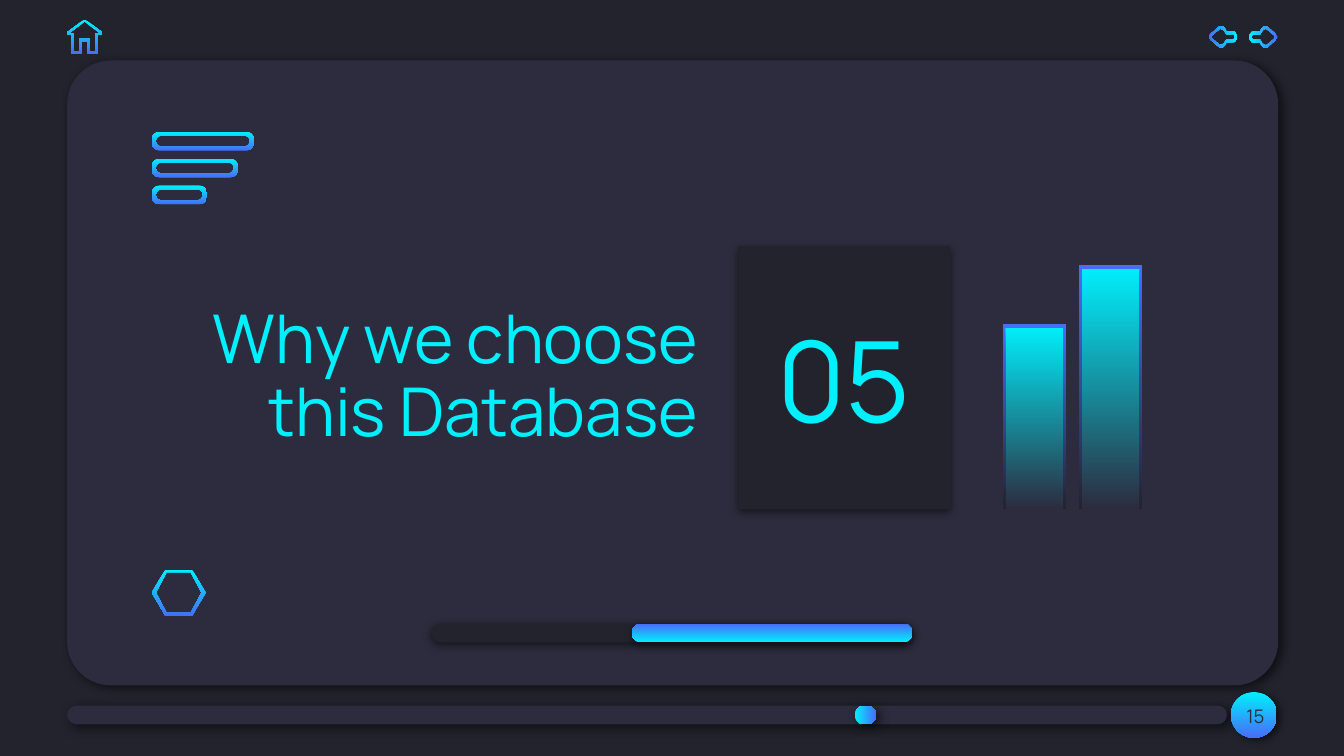
from dataclasses import dataclass
from math import cos, radians, sin

from lxml.etree import SubElement
from pptx import Presentation
from pptx.dml.color import RGBColor
from pptx.enum.shapes import MSO_SHAPE
from pptx.enum.text import MSO_ANCHOR, PP_ALIGN
from pptx.oxml.ns import qn
from pptx.util import Inches, Pt


@dataclass(frozen=True)
class Theme:
    font: str = "Manrope"
    night: str = "23232E"
    panel: str = "2C2C3E"
    cyan: str = "01F0FD"
    blue: str = "476DFA"
    title_size: int = 36
    number_size: int = 60
    page_size: int = 10
    side_shadow: tuple = (60, 5.6, 2.2, 33)
    badge_shadow: tuple = (60, 4.5, 2.2, 33)
    drop_shadow: tuple = (50, 4.5, 1.5, 90)


DOWN, UP, RIGHT = 270, 90, 0


def mirrored(half, centre, top=0):
    left = [(centre - x, top + y) for x, y in half]
    right = [(centre + x, top + y) for x, y in reversed(half)]
    return left + right


def rounded_outline(left, top, width, height, radius):
    corners = [
        (left + width - radius, top + height - radius, 0),
        (left + radius, top + height - radius, 90),
        (left + radius, top + radius, 180),
        (left + width - radius, top + radius, 270),
    ]
    return [
        (x + radius * cos(radians(start + step)), y + radius * sin(radians(start + step)))
        for x, y, start in corners
        for step in range(0, 91, 15)
    ]


class SlideBuilder:
    def __init__(self, slide, theme):
        self.slide = slide
        self.theme = theme
        self.paint(slide.background, theme.night)

    def paint(self, target, colours, direction=DOWN):
        if isinstance(colours, str):
            target.fill.solid()
            target.fill.fore_color.rgb = RGBColor.from_string(colours)
            return
        target.fill.gradient()
        target.fill.gradient_angle = direction
        for stop, colour in zip(target.fill.gradient_stops, colours):
            stop.color.rgb = RGBColor.from_string(colour)

    def finish(self, shape, colours, direction=DOWN, shadow=None):
        shape.shadow.inherit = False
        self.paint(shape, colours, direction)
        shape.line.fill.background()
        if shadow:
            alpha, blur, distance, angle = shadow
            effects = shape._element.spPr.find(qn("a:effectLst"))
            outer = SubElement(
                effects, qn("a:outerShdw"), blurRad=str(Pt(blur)), dist=str(Pt(distance)),
                dir=str(angle * 60000), algn="bl", rotWithShape="0",
            )
            colour = SubElement(outer, qn("a:srgbClr"), val="000000")
            SubElement(colour, qn("a:alpha"), val=str(alpha * 1000))
        return shape

    def block(self, kind, box, colours, shadow=None, direction=DOWN, corner=None):
        shape = self.slide.shapes.add_shape(kind, *map(Inches, box))
        if corner is not None:
            shape.adjustments[0] = corner
        return self.finish(shape, colours, direction, shadow)

    def pill(self, box, colours, shadow, direction=DOWN):
        return self.block(MSO_SHAPE.ROUNDED_RECTANGLE, box, colours, shadow, direction, 0.5)

    def outline(self, contours, colours, rotation=0):
        contours = [[(Inches(x), Inches(y)) for x, y in contour] for contour in contours]
        builder = self.slide.shapes.build_freeform(*contours[0][0])
        for index, contour in enumerate(contours):
            if index:
                builder.move_to(*contour[0])
            builder.add_line_segments(contour[1:], close=True)
        shape = self.finish(builder.convert_to_shape(), colours)
        shape.rotation = rotation

    def label(self, shape, words, size, colour, align=PP_ALIGN.CENTER, spacing=1.0):
        frame = shape.text_frame
        frame.word_wrap = True
        frame.vertical_anchor = MSO_ANCHOR.MIDDLE
        frame.margin_left = frame.margin_right = Inches(0.1)
        frame.margin_top = frame.margin_bottom = Inches(0.1)
        paragraph = frame.paragraphs[0]
        paragraph.text = words
        paragraph.alignment = align
        paragraph.line_spacing = spacing
        paragraph.font.name = self.theme.font
        paragraph.font.size = Pt(size)
        paragraph.font.color.rgb = RGBColor.from_string(colour)

    def text(self, box, *style, **layout):
        self.label(self.slide.shapes.add_textbox(*map(Inches, box)), *style, **layout)


def main():
    theme = Theme()
    glow = (theme.cyan, theme.blue)
    deck = Presentation()
    deck.slide_width, deck.slide_height = Inches(10), Inches(10 * 9 / 16)
    page = SlideBuilder(deck.slides.add_slide(deck.slide_layouts[6]), theme)

    page.block(MSO_SHAPE.ROUNDED_RECTANGLE, (0.5, 0.45, 9.01, 4.65), theme.panel,
               theme.side_shadow, corner=0.07)
    page.pill((0.5, 5.25, 8.63, 0.14), theme.panel, theme.side_shadow)
    page.block(MSO_SHAPE.OVAL, (9.16, 5.15, 0.34, 0.34), glow, theme.badge_shadow)
    page.text((9.04, 5.11, 0.6, 0.43), "15", theme.page_size, theme.panel)

    page.text((1.47, 2.15, 3.82, 1.33), "Why we choose this Database", theme.title_size,
              theme.cyan, align=PP_ALIGN.RIGHT, spacing=0.9)
    section = page.block(MSO_SHAPE.RECTANGLE, (5.49, 1.83, 1.58, 1.96), theme.night,
                         theme.drop_shadow)
    page.label(section, "05", theme.number_size, theme.cyan)

    arrow_edge = [(0.02, 0), (0.04, 0.02), (0.04, 0.08), (0.06, 0.09), (0.08, 0.11),
                  (0.08, 0.13), (0.02, 0.2), (0, 0.21)]
    arrow_hole = [(0.01, 0.02), (0.02, 0.03), (0.02, 0.08), (0.05, 0.1), (0.06, 0.12),
                  (0.06, 0.13), (0.01, 0.19)]
    for centre, rotation in ((9.4, 270), (9.1, 90)):
        page.outline([mirrored(half, centre, 0.17) for half in (arrow_edge, arrow_hole)],
                     glow, rotation)

    rim = 0.03
    for row, width in enumerate((0.76, 0.64, 0.41)):
        top = 0.98 + 0.2 * row
        page.outline([
            rounded_outline(1.13, top, width, 0.14, 0.06),
            rounded_outline(1.13 + rim, top + rim, width - 2 * rim, 0.14 - 2 * rim, 0.04),
        ], glow)

    hexagon_edge = [(0.1, 4.24), (0.2, 4.41), (0.1, 4.58)]
    hexagon_hole = [(0.09, 4.26), (0.17, 4.41), (0.09, 4.56)]
    page.outline([mirrored(half, 1.33) for half in (hexagon_edge, hexagon_hole)], glow)

    bar_width, bar_foot, border = 0.47, 3.79, 0.02
    for left, top in ((7.46, 2.41), (8.03, 1.97)):
        page.block(MSO_SHAPE.RECTANGLE, (left, top, bar_width, bar_foot - top),
                   (theme.cyan, theme.panel))
        half = bar_width / 2
        frame = [(half, top), (half, bar_foot), (half - border, bar_foot),
                 (half - border, top + rim)]
        page.outline([mirrored(frame, left + half)], (theme.blue, theme.night))

    page.pill((6.36, 5.25, 0.16, 0.14), glow, theme.side_shadow, RIGHT)

    house_edge = [(0.01, 0.15), (0.13, 0.24), (0.13, 0.26), (0.1, 0.26), (0.1, 0.4),
                  (0.02, 0.4), (0.02, 0.31)]
    house_hole = [(0, 0.16), (0.12, 0.25), (0.08, 0.25), (0.08, 0.38), (0.04, 0.38),
                  (0.04, 0.29)]
    page.outline([mirrored(half, 0.63) for half in (house_edge, house_hole)], glow)

    page.pill((3.21, 4.64, 3.58, 0.14), theme.night, theme.drop_shadow)
    page.pill((4.7, 4.64, 2.09, 0.14), glow, theme.drop_shadow, UP)

    deck.save("out.pptx")


if __name__ == "__main__":
    main()
